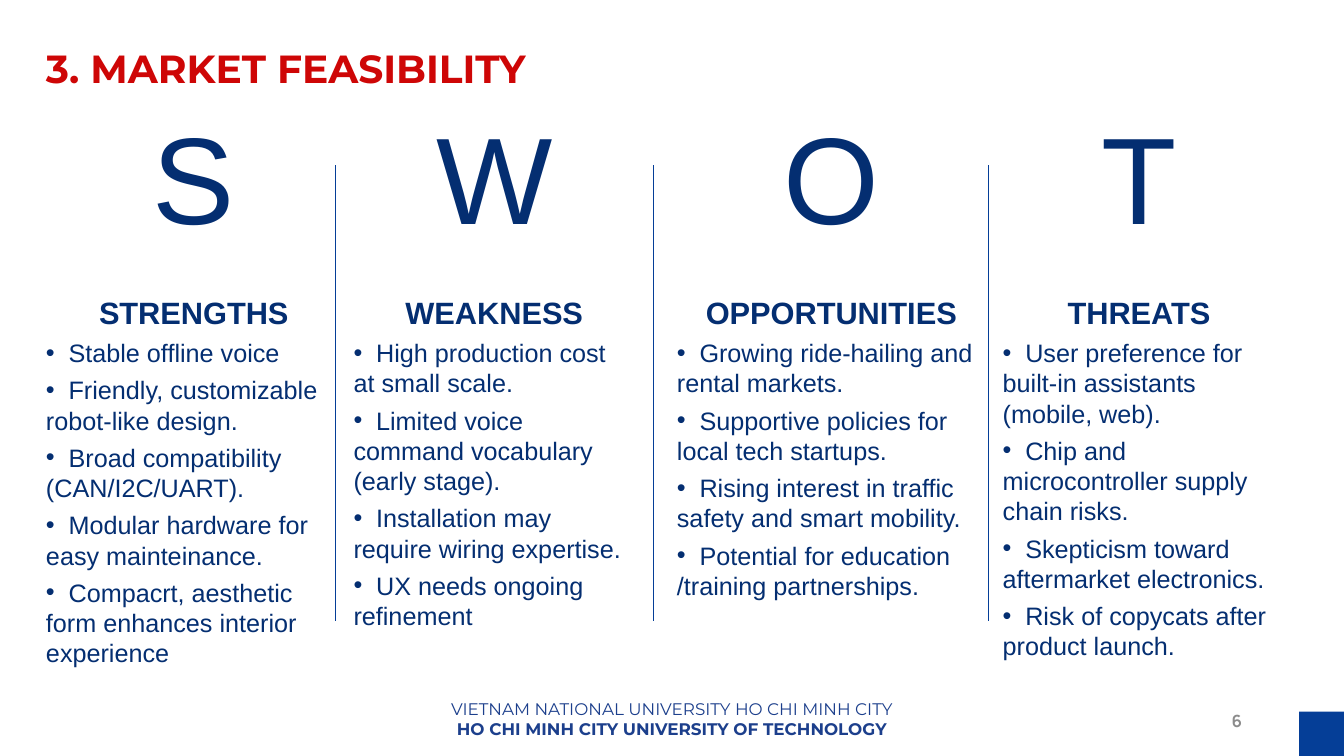
from lxml import etree
from pptx import Presentation
from pptx.dml.color import RGBColor
from pptx.enum.shapes import MSO_CONNECTOR, MSO_SHAPE
from pptx.enum.text import MSO_ANCHOR, PP_ALIGN
from pptx.oxml.ns import qn
from pptx.util import Cm, Pt

LEFT, CENTER, RIGHT = PP_ALIGN.LEFT, PP_ALIGN.CENTER, PP_ALIGN.RIGHT
COLORS = {"title": "CE0606", "navy": "042E71", "footer": "1C3F8C",
          "accent": "053E97", "number": "8C8C8C"}
BULLET_GAP = Cm(0.57)

prs = Presentation()
prs.slide_width, prs.slide_height = Cm(33.87), Cm(19.05)
slide = prs.slides.add_slide(prs.slide_layouts[6])


def add_text_frame(left, top, width, height):
    frame = slide.shapes.add_textbox(Cm(left), Cm(top), Cm(width), Cm(height)).text_frame
    frame.word_wrap = True
    return frame


def add_line(frame, text, size, font, color, bold=False, align=LEFT):
    """Fill the first empty paragraph or append one; a newline is a line break."""
    first = frame.paragraphs[0]
    paragraph = frame.add_paragraph() if first.runs else first
    paragraph.alignment = align
    for index, part in enumerate(text.split("\n")):
        if index:
            paragraph.add_line_break()
        run = paragraph.add_run()
        run.text = part
        run.font.size, run.font.name, run.font.bold = Pt(size), font, bold
        run.font.color.rgb = RGBColor.from_string(COLORS[color])
    return paragraph


# Footer, title and page number
footer = add_text_frame(0, 17.48, 33.87, 1.19)
add_line(footer, "VIETNAM NATIONAL UNIVERSITY HO CHI MINH CITY",
         12, "Montserrat", "footer", align=CENTER)
add_line(footer, "HO CHI MINH CITY UNIVERSITY OF TECHNOLOGY",
         12, "Montserrat", "footer", True, CENTER)

title = add_text_frame(0.91, 0.99, 23.22, 1.45)
add_line(title, "3. MARKET FEASIBILITY", 28, "Montserrat", "title", True)

page_number = add_text_frame(30.25, 17.65, 1.3, 1.02)
page_number.vertical_anchor = MSO_ANCHOR.MIDDLE
add_line(page_number, "6", 12, "Manrope", "number", True, RIGHT)

# Corner square
corner = slide.shapes.add_shape(MSO_SHAPE.RECTANGLE, Cm(32.74), Cm(17.93), Cm(1.13), Cm(1.12))
corner.shadow.inherit = False
corner.fill.solid()
corner.fill.fore_color.rgb = RGBColor.from_string(COLORS["accent"])
corner.line.fill.background()

# Dividers between the columns
for x in (8.46, 16.46, 24.92):
    divider = slide.shapes.add_connector(MSO_CONNECTOR.STRAIGHT, Cm(x), Cm(4.17), Cm(x), Cm(15.65))
    divider.line.color.rgb = RGBColor.from_string(COLORS["accent"])
    divider.line.width = Pt(0.5)
    etree.SubElement(divider._element.spPr, qn("a:effectLst"))

# SWOT columns: left, width, height, heading, points
swot = [
    (0.91, 7.95, 14.66, "STRENGTHS", [
        "Stable offline voice",
        "Friendly, customizable robot-like design.",
        "Broad compatibility (CAN/I2C/UART).",
        "Modular hardware for easy mainteinance.",
        "Compacrt, aesthetic form enhances interior experience"]),
    (8.66, 7.59, 15.44, "WEAKNESS", [
        "High production cost\nat small scale.",
        "Limited voice command vocabulary (early stage).",
        "Installation may require wiring expertise.",
        "UX needs ongoing refinement"]),
    (16.81, 8.28, 14.68, "OPPORTUNITIES", [
        "Growing ride-hailing and rental markets.",
        "Supportive policies for local tech startups.",
        "Rising interest in traffic safety and smart mobility.",
        "Potential for education /training partnerships."]),
    (25.02, 7.37, 14.48, "THREATS", [
        "User preference for built-in assistants (mobile, web).",
        "Chip and microcontroller supply chain risks.",
        "Skepticism toward aftermarket electronics.",
        "Risk of copycats after product launch."]),
]
for left, width, height, heading, points in swot:
    column = add_text_frame(left, 2.44, width, height)
    add_line(column, heading[0], 88, "Arial", "navy", align=CENTER)
    heading_line = add_line(column, heading, 22, "Arial", "navy", True, CENTER)
    heading_line.line_spacing = 2.0
    heading_line.space_before = Pt(5)
    for point in points:
        # Wrapped lines return to the bullet's edge; a tab sets the gap after it
        item = add_line(column, "\t" + point, 18, "Arial", "navy")
        item.space_before = Pt(5)
        properties = item._p.get_or_add_pPr()
        properties.set("marL", "0")
        properties.set("indent", "0")
        etree.SubElement(properties, qn("a:buFont"), typeface="Arial")
        etree.SubElement(properties, qn("a:buChar"), char="•")
        tabs = etree.SubElement(properties, qn("a:tabLst"))
        etree.SubElement(tabs, qn("a:tab"), pos=str(int(BULLET_GAP)), algn="l")

prs.save("out.pptx")
